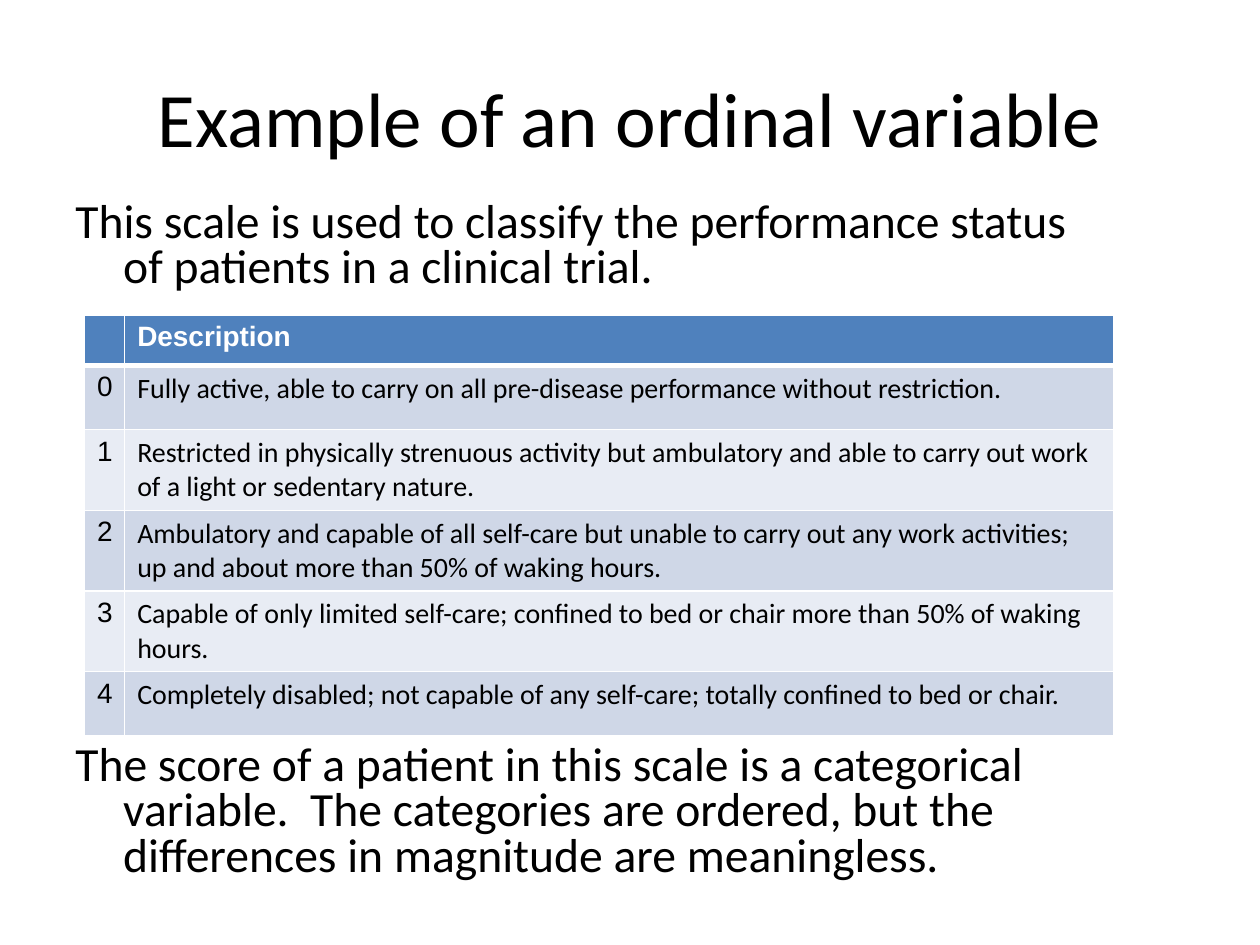
"""Build a slide that explains an ordinal variable with a patient scale."""
from dataclasses import dataclass

from lxml import etree
from pptx import Presentation
from pptx.dml.color import RGBColor
from pptx.enum.text import MSO_ANCHOR, PP_ALIGN
from pptx.oxml.ns import qn
from pptx.util import Inches, Pt

CENTER, LEFT = PP_ALIGN.CENTER, PP_ALIGN.LEFT
MIDDLE, TOP = MSO_ANCHOR.MIDDLE, MSO_ANCHOR.TOP

TITLE = "Example of an ordinal variable"
INTRO = "This scale is used to classify the performance status of patients in a clinical trial."
CLOSE = (
    "The score of a patient in this scale is a categorical variable.  "
    "The categories are ordered, but the differences in magnitude are meaningless."
)
HEAD = "Description"
GRADES = [
    "Fully active, able to carry on all pre-disease performance without restriction.",
    "Restricted in physically strenuous activity but ambulatory and able to carry out "
    "work of a light or sedentary nature.",
    "Ambulatory and capable of all self-care but unable to carry out any work activities; "
    "up and about more than 50% of waking hours.",
    "Capable of only limited self-care; confined to bed or chair more than 50% of waking hours.",
    "Completely disabled; not capable of any self-care; totally confined to bed or chair.",
]

WIDE, HIGH = 10, 7.5
EDGE = 0.05 * WIDE
COLS = (0.32, 7.85)
ROWS = (0.37, 0.51, 0.64, 0.64, 0.64, 0.51)
GRID = (0.67, 2.5)
INDENT = 0.38
GAP = 258


@dataclass(frozen=True)
class Theme:
    main: str = "Calibri"
    side: str = "Arial"
    ink: str = "000000"
    white: str = "FFFFFF"
    head: str = "4F81BD"
    bands: tuple = ("CFD7E7", "E8ECF4")
    title: float = 44
    body: float = 27.2
    cell: float = 16


LOOK = Theme()


def write(para, text, size, font=LOOK.main, color=LOOK.ink, bold=False,
          align=LEFT, line=None, before=0, hang=0):
    para.alignment = align
    para.space_before = Pt(before)
    if line:
        para.line_spacing = line
    if hang:
        props = para._p.get_or_add_pPr()
        props.set("marL", str(Inches(hang)))
        props.set("indent", str(-Inches(hang)))
    run = para.add_run()
    run.text = text
    run.font.size = Pt(size)
    run.font.name = font
    run.font.bold = bold
    run.font.color.rgb = RGBColor.from_string(color)


def place(shape, left, top, width, height):
    shape.left, shape.top = Inches(left), Inches(top)
    shape.width, shape.height = Inches(width), Inches(height)


def paint(cell, fill, base):
    cell.fill.solid()
    cell.fill.fore_color.rgb = RGBColor.from_string(fill)
    props = cell._tc.get_or_add_tcPr()
    for spot, (side, width) in enumerate((("L", 1), ("R", 1), ("T", 1), ("B", base))):
        edge = etree.Element(qn(f"a:ln{side}"), w=str(Pt(width)))
        solid = etree.SubElement(edge, qn("a:solidFill"))
        etree.SubElement(solid, qn("a:srgbClr"), val=LOOK.white)
        props.insert(spot, edge)


def add_grid(slide):
    rows = [("", HEAD)] + [(str(rank), text) for rank, text in enumerate(GRADES)]
    frame = slide.shapes.add_table(
        len(rows), len(COLS), *map(Inches, (*GRID, sum(COLS), sum(ROWS))))
    table = frame.table
    for col, width in zip(table.columns, COLS):
        col.width = Inches(width)
    for i, (row, texts) in enumerate(zip(table.rows, rows)):
        row.height = Inches(ROWS[i])
        top = i == 0
        fill = LOOK.head if top else LOOK.bands[(i - 1) % 2]
        for j, (cell, text) in enumerate(zip(row.cells, texts)):
            paint(cell, fill, 3 if i < 1 else 1)
            font = LOOK.side if top == bool(j) else LOOK.main
            write(cell.text_frame.paragraphs[0], text, LOOK.cell, font=font,
                  color=LOOK.white if top else LOOK.ink, bold=top)


def main():
    deck = Presentation()
    deck.slide_width, deck.slide_height = Inches(WIDE), Inches(HIGH)
    slide = deck.slides.add_slide(deck.slide_layouts[5])

    title = slide.shapes.title
    place(title, EDGE, 0.04 * HIGH, WIDE - 2 * EDGE, HIGH / 6)
    title.text_frame.vertical_anchor = MIDDLE
    write(title.text_frame.paragraphs[0], TITLE, LOOK.title, align=CENTER)

    body = slide.shapes.add_textbox(0, 0, 0, 0)
    place(body, EDGE, 1.55, sum(COLS), 5.75)
    frame = body.text_frame
    frame.word_wrap = True
    frame.vertical_anchor = TOP
    style = {"line": 0.8, "hang": INDENT}
    write(frame.paragraphs[0], INTRO, LOOK.body, **style)
    write(frame.add_paragraph(), CLOSE, LOOK.body, before=GAP, **style)

    add_grid(slide)
    deck.save("out.pptx")


if __name__ == "__main__":
    main()
